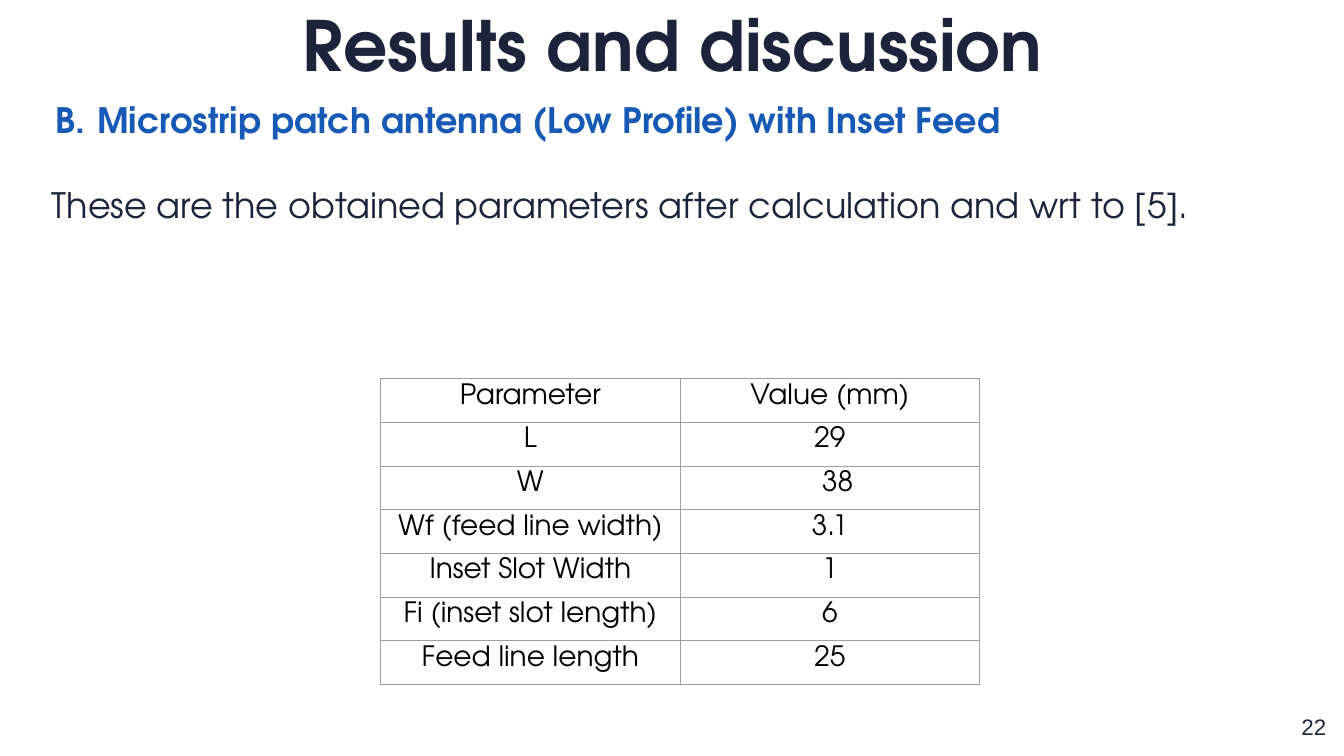
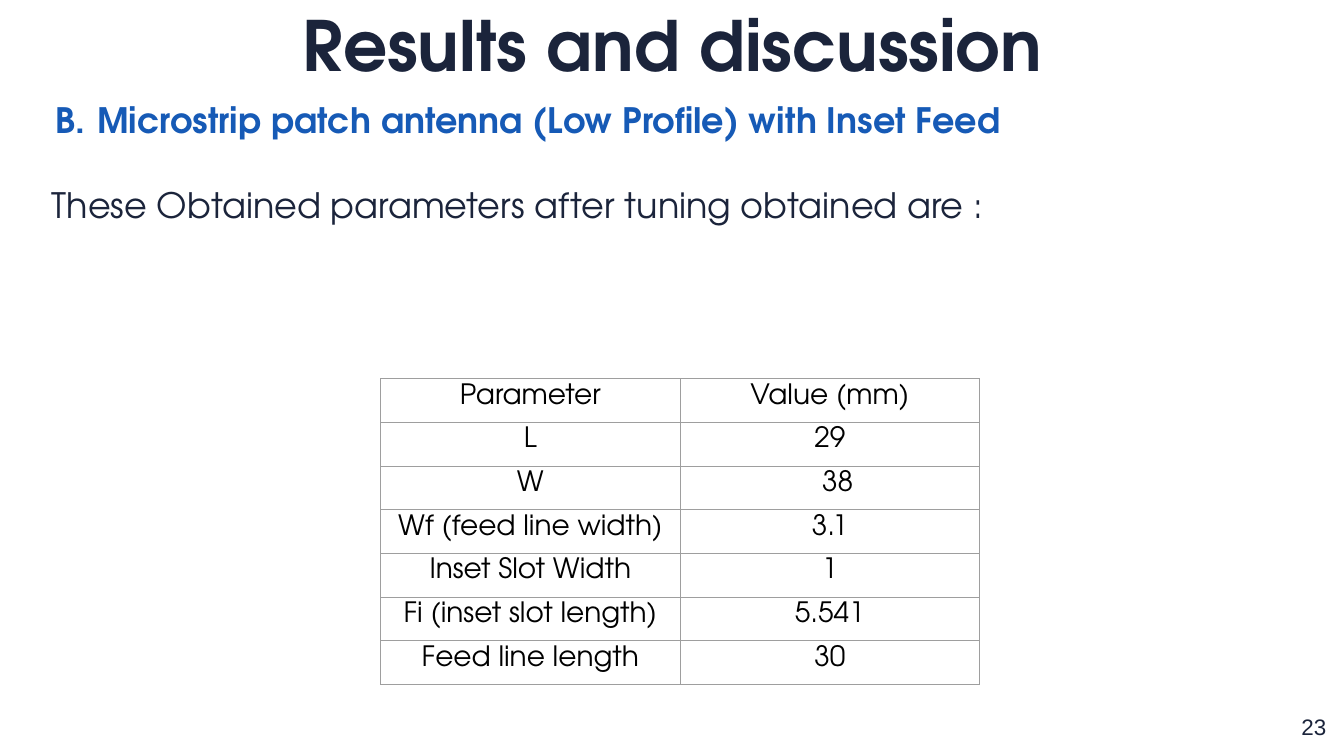
from pptx import Presentation
from pptx import util as u
from pptx.dml import color
from pptx.enum import text
from pptx.oxml import parse_xml
from pptx.oxml import ns

# Shared look
FONT = "TeX Gyre Adventor"
INK, BLUE, BLACK, GREY = "1B243B", "165AB6", "000000", "9E9E9E"
LEFT, MID, RIGHT = text.PP_ALIGN.LEFT, text.PP_ALIGN.CENTER, text.PP_ALIGN.RIGHT


def style(para, size, tint, bold=False, align=LEFT, face=FONT):
    para.alignment = align
    for run in para.runs:
        run.font.size = u.Pt(size)
        run.font.name = face
        run.font.bold = bold
        run.font.color.rgb = color.RGBColor.from_string(tint)


def add_box(slide, left, top, width, height, words):
    box = slide.shapes.add_textbox(u.Inches(left), u.Inches(top),
                                   u.Inches(width), u.Inches(height))
    frame = box.text_frame
    frame.word_wrap = True
    frame.text = words
    return frame


# What differs between the slides: number, lead, slot length, line length
pages = [
    ("22", "These are the obtained parameters after calculation and wrt to [5].", "6", "25"),
    ("23", "These Obtained parameters after tuning obtained are :", "5.541", "30"),
]

prs = Presentation()
prs.slide_width, prs.slide_height = u.Inches(26.66), u.Inches(15)

for number, lead, slot, line in pages:
    slide = prs.slides.add_slide(prs.slide_layouts[6])

    # Slide number
    frame = add_box(slide, 24.95, 13.85, 1.6, 1.15, number)
    frame.margin_left = frame.margin_right = u.Inches(0.24)
    frame.margin_top = frame.margin_bottom = u.Inches(0.24)
    frame.vertical_anchor = text.MSO_ANCHOR.MIDDLE
    style(frame.paragraphs[0], 32, INK, align=RIGHT, face="Arial")

    # Title
    frame = add_box(slide, 2.43, -0.01, 21.81, 1.77, "Results and discussion")
    style(frame.paragraphs[0], 99, INK, True, MID)

    # Heading and lead sentence
    frame = add_box(slide, 0.43, 1.76, 26.12, 7.24, "B.")
    head = frame.paragraphs[0]
    for part in (" ", "Microstrip patch antenna (Low Profile) with Inset Feed"):
        head.add_run().text = part
    style(head, 50, BLUE, True)
    head.runs[1].font.size = u.Pt(60)
    head._p.get_or_add_pPr().set("marL", str(u.Inches(0.57)))
    body = frame.add_paragraph()
    body.text = lead
    body.space_before = u.Pt(60)
    style(body, 50, INK)
    body._p.get_or_add_pPr().set("marL", str(u.Inches(0.5)))

    # Parameter table; rows grow to fit their text
    rows = [
        ("Parameter", "Value (mm)"),
        ("L", "29"),
        ("W", "38"),
        ("Wf (feed line width)", "3.1"),
        ("Inset Slot Width", "1"),
        ("Fi (inset slot length)", slot),
        ("Feed line length", line),
    ]
    holder = slide.shapes.add_table(len(rows), 2, u.Inches(7.55), u.Inches(7.51),
                                    u.Inches(11.88), u.Inches(3.28))
    table = holder.table
    table.first_row = table.horz_banding = False
    for col in table.columns:
        col.width = u.Inches(5.94)
    for row in table.rows:
        row.height = u.Inches(0.11)
    holder.height = u.Inches(3.28)
    for r, pair in enumerate(rows):
        for c, words in enumerate(pair):
            cell = table.cell(r, c)
            cell.text = words
            cell.margin_left = cell.margin_right = u.Inches(0.1)
            cell.margin_top = cell.margin_bottom = u.Inches(0.1)
            style(cell.text_frame.paragraphs[0], 40, BLACK, align=MID)
            props = cell._tc.get_or_add_tcPr()
            for side in "LRTB":
                props.append(parse_xml(
                    f'<a:ln{side} {ns.nsdecls("a")} w="{u.Pt(0.75)}"><a:solidFill>'
                    f'<a:srgbClr val="{GREY}"/></a:solidFill></a:ln{side}>'))
            cell.fill.background()

    # The value of W is indented from the left
    width = table.cell(2, 1).text_frame.paragraphs[0]
    width.alignment = LEFT
    width._p.get_or_add_pPr().set("marL", str(u.Inches(2.72)))

prs.save("out.pptx")
